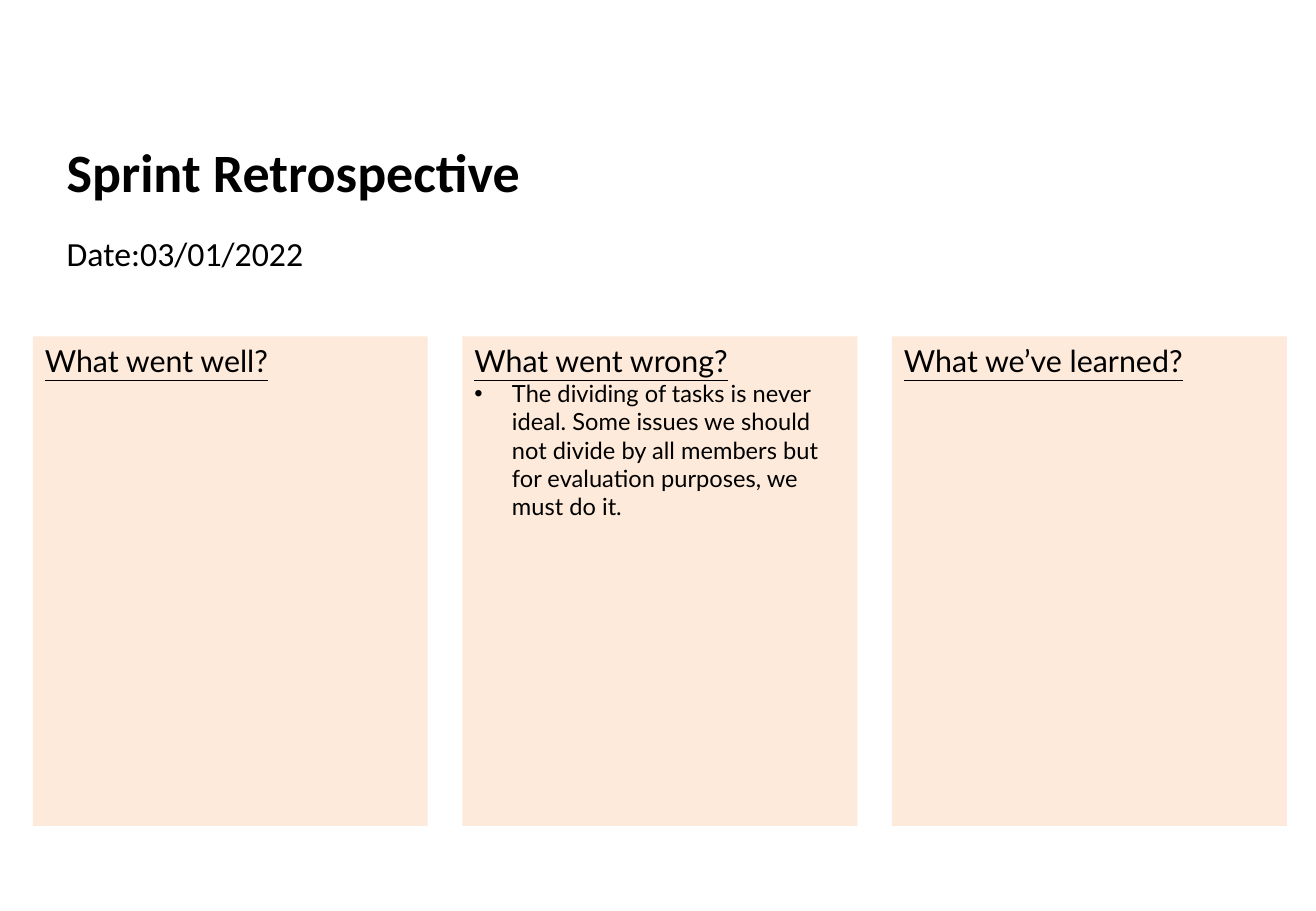
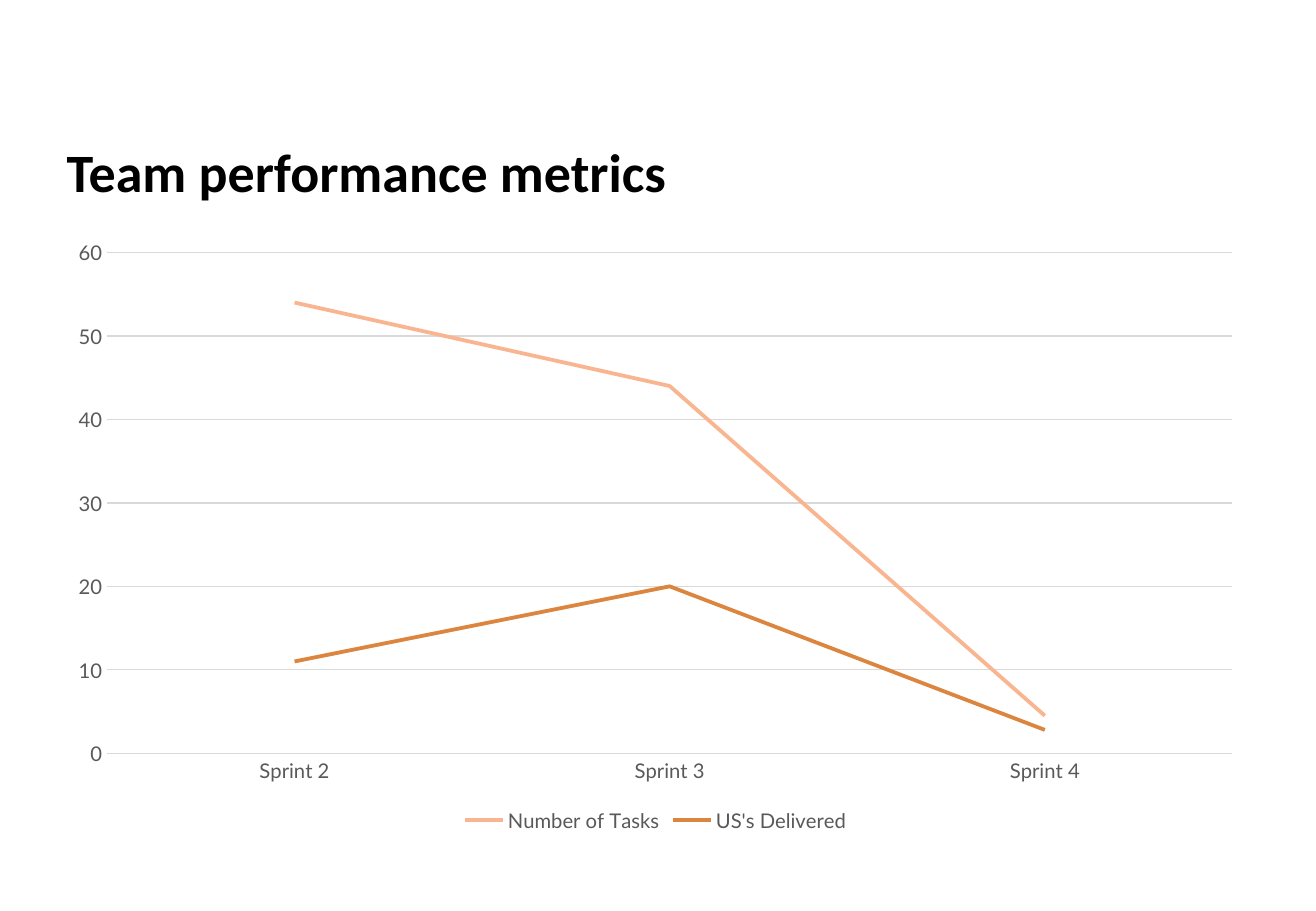
from lxml.etree import SubElement
from pptx import Presentation
from pptx.chart.data import CategoryChartData
from pptx.dml.color import RGBColor
from pptx.enum.chart import XL_CHART_TYPE, XL_LEGEND_POSITION, XL_TICK_MARK
from pptx.enum.shapes import MSO_SHAPE
from pptx.enum.text import MSO_ANCHOR, PP_ALIGN
from pptx.oxml.ns import qn
from pptx.util import Inches, Pt

COLORS = {
    "text": "000000",
    "panel": "FDEADA",
    "label": "595959",
    "grid": "D9D9D9",
    "tasks": "F9B590",
    "stories": "DB853E",
}
HEAD_FONT, BODY_FONT = "Calibri", "Lato"
MARGIN, CONTENT_W = 0.45, 9.89


def color(name):
    return RGBColor.from_string(COLORS[name])


def style_font(font, size, name=BODY_FONT, fill="text", bold=False, underline=False):
    font.size, font.name = Pt(size), name
    font.bold, font.underline = bold, underline
    font.color.rgb = color(fill)


def write(p, text, bullet=False, after=0, **fmt):
    """Put one formatted run into a paragraph."""
    p.alignment = PP_ALIGN.LEFT
    p.space_after = Pt(after)
    r = p.add_run()
    r.text = text
    style_font(r.font, **fmt)
    if bullet:
        pPr = p._p.get_or_add_pPr()
        indent = Inches(0.31)
        pPr.set("marL", str(indent))
        pPr.set("indent", str(-indent))
        SubElement(pPr, qn("a:buFont")).set("typeface", "Arial")
        SubElement(pPr, qn("a:buChar")).set("char", "•")


class Deck:
    def __init__(self):
        self.prs = Presentation()
        self.prs.slide_width, self.prs.slide_height = Inches(10.83), Inches(7.5)
        self.s = None

    def slide(self, title):
        self.s = self.prs.slides.add_slide(self.prs.slide_layouts[6])
        self.text(title, 1.09, 0.63, anchor=MSO_ANCHOR.MIDDLE,
                  size=32, name=HEAD_FONT, bold=True)

    def text(self, text, top, height, anchor=MSO_ANCHOR.TOP, **fmt):
        sp = self.s.shapes.add_textbox(
            Inches(MARGIN), Inches(top), Inches(CONTENT_W), Inches(height))
        tf = sp.text_frame
        tf.word_wrap = True
        tf.vertical_anchor = anchor
        write(tf.paragraphs[0], text, **fmt)

    def panel(self, left, heading, points):
        sp = self.s.shapes.add_shape(
            MSO_SHAPE.RECTANGLE, Inches(left), Inches(2.77), Inches(3.25), Inches(4.03))
        sp.shadow.inherit = False
        sp.fill.solid()
        sp.fill.fore_color.rgb = color("panel")
        sp.line.fill.background()
        tf = sp.text_frame
        tf.word_wrap = True
        tf.vertical_anchor = MSO_ANCHOR.TOP
        write(tf.paragraphs[0], heading, size=18, underline=True)
        for point in points:
            write(tf.add_paragraph(), point, bullet=True, size=14)

    def line_chart(self, categories, series):
        data = CategoryChartData()
        data.categories = categories
        for name, values, _ in series:
            data.add_series(name, values)
        chart = self.s.shapes.add_chart(
            XL_CHART_TYPE.LINE, Inches(MARGIN), Inches(1.88),
            Inches(CONTENT_W), Inches(5.01), data).chart
        chart.has_title = False
        style_font(chart.font, 10)

        # Series
        plot = chart.plots[0]
        plot.vary_by_categories = False
        for ser, (_, _, fill) in zip(plot.series, series):
            ser.smooth = False
            ser.format.line.color.rgb = color(fill)
            ser.format.line.width = Pt(2.25)

        # Axes
        cat, val = chart.category_axis, chart.value_axis
        for axis in (cat, val):
            axis.major_tick_mark = axis.minor_tick_mark = XL_TICK_MARK.NONE
            style_font(axis.tick_labels.font, 12, fill="label")
        val.minimum_scale, val.maximum_scale, val.major_unit = 0, 60, 10
        val.format.line.fill.background()
        val.has_major_gridlines = True
        for line in (cat.format.line, val.major_gridlines.format.line):
            line.color.rgb = color("grid")
            line.width = Pt(0.75)

        # Legend
        chart.has_legend = True
        chart.legend.position = XL_LEGEND_POSITION.BOTTOM
        chart.legend.include_in_layout = False
        style_font(chart.legend.font, 12, fill="label")


def main():
    deck = Deck()

    # Retrospective
    deck.slide("Sprint Retrospective")
    deck.text("Date:03/01/2022", 1.87, 0.5, size=20, name=HEAD_FONT, after=4)
    panels = [
        ("What went well?", []),
        ("What went wrong?", [
            "The dividing of tasks is never ideal. Some issues we should not divide "
            "by all members but for evaluation purposes, we must do it."]),
        ("What we’ve learned?", []),
    ]
    for i, (heading, points) in enumerate(panels):
        deck.panel(0.27 + i * 3.535, heading, points)

    # Metrics
    deck.slide("Team performance metrics")
    deck.line_chart(["Sprint 2", "Sprint 3", "Sprint 4"], [
        ("Number of Tasks", (54, 44, 4.5), "tasks"),
        ("US's Delivered", (11, 20, 2.8), "stories"),
    ])

    deck.prs.save("out.pptx")


if __name__ == "__main__":
    main()
